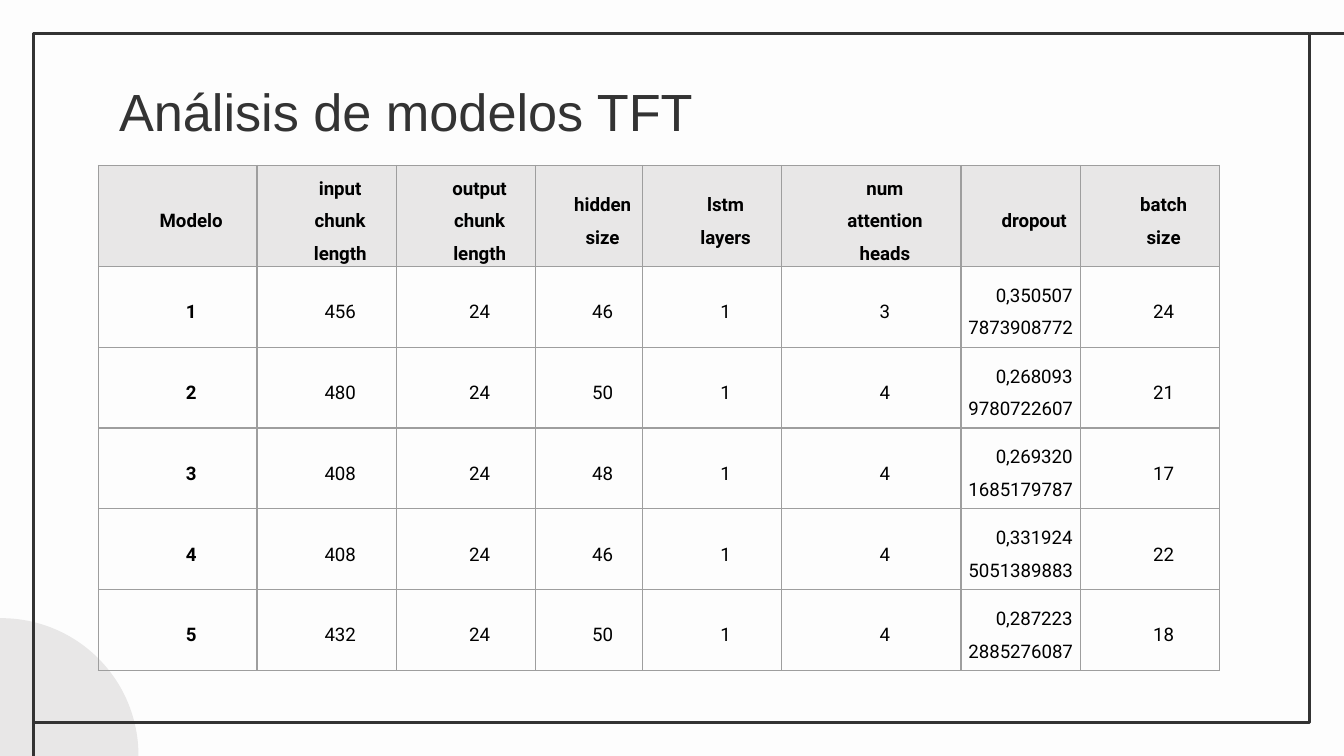
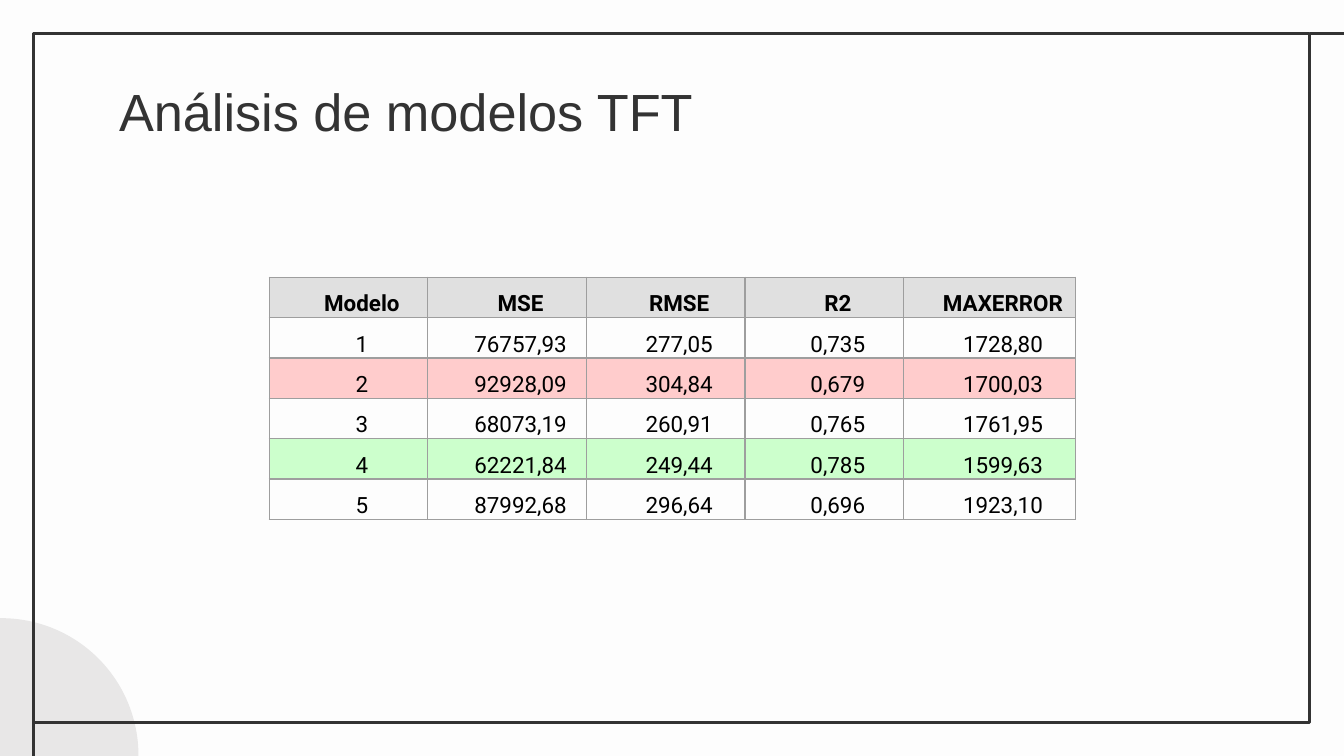
from dataclasses import dataclass

from lxml import etree
from pptx import Presentation
from pptx.dml.color import RGBColor
from pptx.enum.shapes import MSO_CONNECTOR, MSO_SHAPE
from pptx.enum.text import MSO_ANCHOR, PP_ALIGN
from pptx.oxml.ns import qn
from pptx.util import Pt

OVAL = MSO_SHAPE.OVAL
RECTANGLE = MSO_SHAPE.RECTANGLE
STRAIGHT = MSO_CONNECTOR.STRAIGHT
MIDDLE = MSO_ANCHOR.MIDDLE
CENTER = PP_ALIGN.CENTER


@dataclass(frozen=True)
class Theme:
    """Colours, fonts and sizes shared by the slides."""

    background: str = "FDFDFD"
    ink: str = "333333"
    cell_text: str = "000000"
    border: str = "9E9E9E"
    pale_grey: str = "E8E7E7"
    header_grey: str = "E0E0E0"
    worst: str = "FFCCCC"
    best: str = "CCFFCC"
    title_font: str = "Arial"
    table_font: str = "Roboto"
    title_size: float = 28
    parameter_size: float = 10
    metric_size: float = 12
    frame_width: float = 1.5
    border_width: float = 0.75
    first_line_indent: float = 14.4
    line_spacing: float = 1.5


@dataclass(frozen=True)
class TableLook:
    """Measures and emphasis of one table."""

    column_widths: tuple
    row_heights: tuple
    text_size: float
    side_margin: float
    row_fills: dict
    bold_first_column: bool = False


THEME = Theme()
SLIDE_BOX = (0, 0, 720, 405)
TITLE_BOX = (56.7, 35.3, 607, 45.4)
TITLE = "Análisis de modelos TFT"

PARAMETER_ROWS = [
    ("Modelo", "input\nchunk\nlength", "output\nchunk\nlength", "hidden\nsize",
     "lstm\nlayers", "num\nattention\nheads", "dropout", "batch\nsize"),
    ("1", "456", "24", "46", "1", "3", "0,3505077873908772", "24"),
    ("2", "480", "24", "50", "1", "4", "0,2680939780722607", "21"),
    ("3", "408", "24", "48", "1", "4", "0,2693201685179787", "17"),
    ("4", "408", "24", "46", "1", "4", "0,3319245051389883", "22"),
    ("5", "432", "24", "50", "1", "4", "0,2872232885276087", "18"),
]
PARAMETER_LOOK = TableLook(
    column_widths=(85, 74.7, 74.7, 57.1, 74.7, 96, 64, 74.7),
    row_heights=(52.5,) + (43.3,) * 5,
    text_size=THEME.parameter_size,
    side_margin=2,
    row_fills={0: THEME.pale_grey},
    bold_first_column=True,
)

METRIC_ROWS = [
    ("Modelo", "MSE", "RMSE", "R2", "MAXERROR"),
    ("1", "76757,93", "277,05", "0,735", "1728,80"),
    ("2", "92928,09", "304,84", "0,679", "1700,03"),
    ("3", "68073,19", "260,91", "0,765", "1761,95"),
    ("4", "62221,84", "249,44", "0,785", "1599,63"),
    ("5", "87992,68", "296,64", "0,696", "1923,10"),
]
METRIC_LOOK = TableLook(
    column_widths=(85,) * 4 + (92,),
    row_heights=(21.1,) * 6,
    text_size=THEME.metric_size,
    side_margin=5,
    row_fills={0: THEME.header_grey, 2: THEME.worst, 4: THEME.best},
)


def colour(value):
    """Return the colour object for a hexadecimal value."""
    return RGBColor.from_string(value)


def style_runs(paragraph, font_name, size, text_colour, bold=False):
    """Format every run of a paragraph."""
    for run in paragraph.runs:
        run.font.name = font_name
        run.font.size = Pt(size)
        run.font.bold = bold
        run.font.color.rgb = colour(text_colour)


def style_line(line):
    """Give an outline the frame colour and width."""
    line.color.rgb = colour(THEME.ink)
    line.width = Pt(THEME.frame_width)


def add_frame_line(slide, start, end):
    """Draw one straight line in the style of the frame."""
    connector = slide.shapes.add_connector(STRAIGHT, *map(Pt, start + end))
    style_line(connector.line)
    etree.SubElement(connector._element.spPr, qn("a:effectLst"))


def add_decoration(slide, box):
    """Draw the corner circle and the frame with its two extensions."""
    left, top, width, height = box
    right, bottom = left + width, top + height
    radius, inset = 73.5, 18
    circle = slide.shapes.add_shape(
        OVAL, Pt(left + 0.7 - radius), Pt(bottom - 0.3 - radius), Pt(2 * radius), Pt(2 * radius))
    circle.shadow.inherit = False
    circle.fill.solid()
    circle.fill.fore_color.rgb = colour(THEME.pale_grey)
    circle.line.fill.background()

    frame = slide.shapes.add_shape(
        RECTANGLE, Pt(left + inset), Pt(top + inset),
        Pt(width - 2 * inset - 0.5), Pt(height - 2 * inset))
    frame.shadow.inherit = False
    frame.fill.background()
    style_line(frame.line)

    add_frame_line(slide, (right, top + inset), (right - inset, top + inset))
    add_frame_line(slide, (left + inset, bottom), (left + inset, bottom - inset - 2))


def add_title(slide, box, text):
    """Write the slide title."""
    text_frame = slide.shapes.add_textbox(*map(Pt, box)).text_frame
    text_frame.word_wrap = True
    for side in ("left", "top", "right", "bottom"):
        setattr(text_frame, f"margin_{side}", Pt(7.2))
    text_frame.text = text
    style_runs(text_frame.paragraphs[0], THEME.title_font, THEME.title_size, THEME.ink)


def add_cell_borders(cell):
    """Outline the four sides of a table cell."""
    properties = cell._tc.get_or_add_tcPr()
    for tag in ("a:lnL", "a:lnR", "a:lnT", "a:lnB"):
        line = etree.SubElement(properties, qn(tag), w=str(Pt(THEME.border_width)))
        fill = etree.SubElement(line, qn("a:solidFill"))
        etree.SubElement(fill, qn("a:srgbClr"), val=THEME.border)


def fill_cell(cell, text, look, fill, bold):
    """Write and format one table cell."""
    add_cell_borders(cell)
    if fill:
        cell.fill.solid()
        cell.fill.fore_color.rgb = colour(fill)
    else:
        cell.fill.background()
    cell.vertical_anchor = MIDDLE
    cell.margin_left = cell.margin_right = Pt(look.side_margin)
    cell.margin_top = cell.margin_bottom = 0
    cell.text_frame.text = text
    for paragraph in cell.text_frame.paragraphs:
        paragraph.alignment = CENTER
        paragraph.line_spacing = THEME.line_spacing
        properties = paragraph._p.get_or_add_pPr()
        properties.set("marL", "0")
        properties.set("indent", str(Pt(THEME.first_line_indent)))
        style_runs(paragraph, THEME.table_font, look.text_size, THEME.cell_text, bold)


def add_data_table(slide, origin, rows, look):
    """Place a table with its top left corner at the origin."""
    left, top = origin
    table = slide.shapes.add_table(
        len(rows), len(rows[0]), Pt(left), Pt(top),
        Pt(sum(look.column_widths)), Pt(sum(look.row_heights))).table
    table.horz_banding = False
    for column, width in zip(table.columns, look.column_widths):
        column.width = Pt(width)
    for row_index, values in enumerate(rows):
        table.rows[row_index].height = Pt(look.row_heights[row_index])
        for column_index, text in enumerate(values):
            bold = row_index == 0 or (look.bold_first_column and column_index == 0)
            fill_cell(table.cell(row_index, column_index), text, look,
                      look.row_fills.get(row_index), bold)


def add_table_slide(presentation, origin, rows, look):
    """Add a framed slide with the title and one table."""
    slide = presentation.slides.add_slide(presentation.slide_layouts[6])
    slide.background.fill.solid()
    slide.background.fill.fore_color.rgb = colour(THEME.background)
    add_decoration(slide, SLIDE_BOX)
    add_title(slide, TITLE_BOX, TITLE)
    add_data_table(slide, origin, rows, look)


def main():
    """Build and save the presentation."""
    presentation = Presentation()
    presentation.slide_width, presentation.slide_height = map(Pt, SLIDE_BOX[2:])
    add_table_slide(presentation, (52.7, 88.6), PARAMETER_ROWS, PARAMETER_LOOK)
    add_table_slide(presentation, (144.2, 148.5), METRIC_ROWS, METRIC_LOOK)
    presentation.save("out.pptx")


if __name__ == "__main__":
    main()
